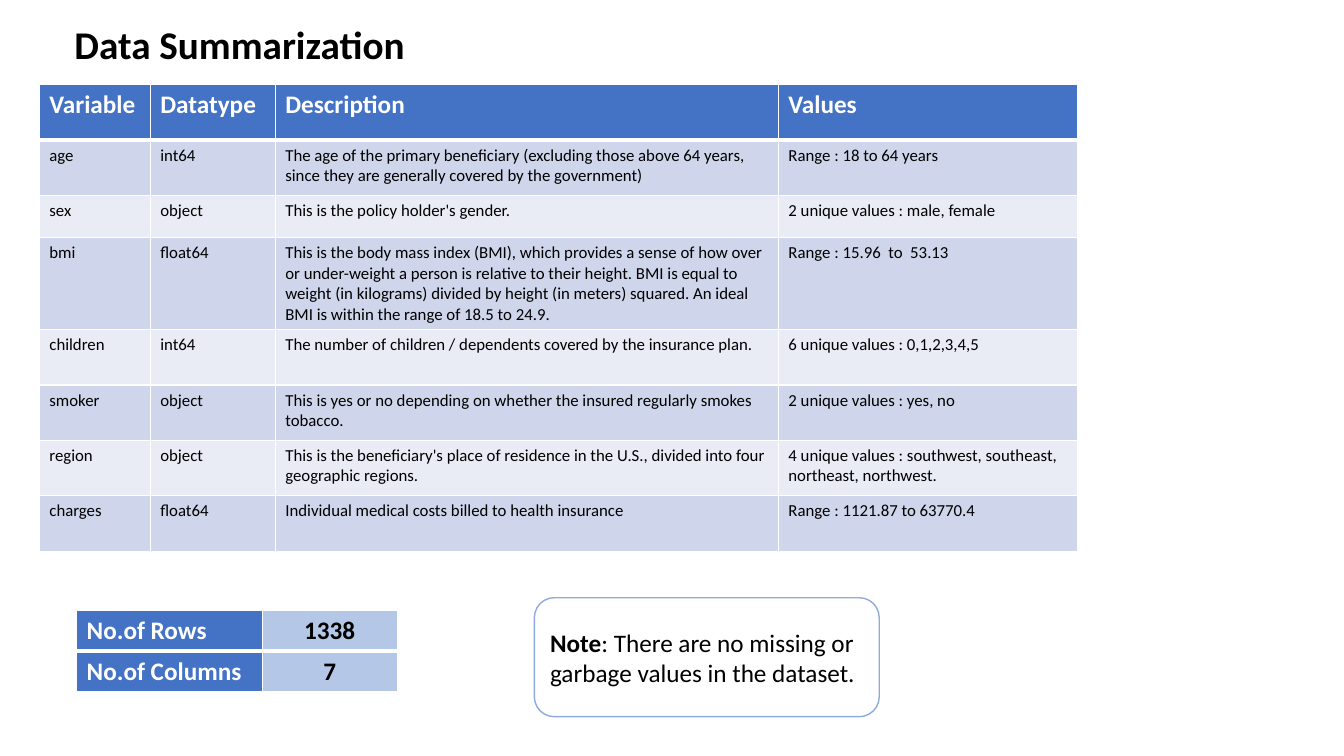
from dataclasses import dataclass

from lxml import etree
from pptx import Presentation
from pptx.dml.color import RGBColor
from pptx.enum import shapes, text
from pptx.oxml.ns import qn
from pptx.util import Inches, Pt

FONT = "Calibri"
COLORS = {
    "white": "FFFFFF",
    "black": "000000",
    "header": "4472C4",
    "band_dark": "CFD5EA",
    "band_light": "E9EBF5",
    "count": "B4C7E7",
    "note_line": "8FAADC",
}


@dataclass
class CellStyle:
    fill: str
    color: str
    size: int = 18
    bold: bool = True
    align: text.PP_ALIGN = text.PP_ALIGN.LEFT


@dataclass
class Grid:
    left: float
    top: float
    widths: list[float]
    heights: list[float]
    rows: list[tuple[str, ...]]
    styles: list[list[CellStyle]]


def rgb(name: str) -> RGBColor:
    return RGBColor.from_string(COLORS[name])


def set_font(p, size: int, color: str, bold: bool | None = None) -> None:
    p.font.name = FONT
    p.font.size = Pt(size)
    p.font.bold = bold
    p.font.color.rgb = rgb(color)


def add_border(cell, side: str, width: float) -> None:
    """Draw a white line on one side (L, R, T or B) of a cell."""
    line = etree.SubElement(cell._tc.get_or_add_tcPr(), qn(f"a:ln{side}"), w=str(Pt(width)))
    fill = etree.SubElement(line, qn("a:solidFill"))
    etree.SubElement(fill, qn("a:srgbClr"), val=COLORS["white"])


def add_grid(slide, grid: Grid) -> None:
    table = slide.shapes.add_table(
        len(grid.rows), len(grid.widths), Inches(grid.left), Inches(grid.top),
        Inches(sum(grid.widths)), Inches(sum(grid.heights))).table
    for column, width in zip(table.columns, grid.widths):
        column.width = Inches(width)
    for i, (row, height) in enumerate(zip(table.rows, grid.heights)):
        row.height = Inches(height)
        for cell, value, style in zip(row.cells, grid.rows[i], grid.styles[i]):
            add_border(cell, "L", 1)
            add_border(cell, "R", 1)
            if i == 0:
                add_border(cell, "T", 1)
            add_border(cell, "B", 3 if i == 0 else 1)
            cell.fill.solid()
            cell.fill.fore_color.rgb = rgb(style.fill)
            cell.text = value
            p = cell.text_frame.paragraphs[0]
            p.alignment = style.align
            set_font(p, style.size, style.color, style.bold)


def add_title(slide, title: str) -> None:
    sp = slide.shapes.add_textbox(Inches(0.64), Inches(0.08), Inches(11.5), Inches(0.76))
    tf = sp.text_frame
    tf.word_wrap = True
    tf.vertical_anchor = text.MSO_ANCHOR.MIDDLE
    p = tf.paragraphs[0]
    p.text = title
    p.line_spacing = 0.9
    set_font(p, 28, "black", True)


def add_note(slide, label: str, message: str) -> None:
    sp = slide.shapes.add_shape(
        shapes.MSO_SHAPE.ROUNDED_RECTANGLE,
        Inches(5.3), Inches(5.93), Inches(3.42), Inches(1.18))
    sp.shadow.inherit = False
    sp.fill.solid()
    sp.fill.fore_color.rgb = rgb("white")
    sp.line.color.rgb = rgb("note_line")
    sp.line.width = Pt(1)
    tf = sp.text_frame
    tf.word_wrap = True
    tf.vertical_anchor = text.MSO_ANCHOR.MIDDLE
    p = tf.paragraphs[0]
    p.alignment = text.PP_ALIGN.LEFT
    set_font(p, 18, "black")
    for part, bold in ((label, True), (message, False)):
        r = p.add_run()
        r.text = part
        r.font.bold = bold


VARIABLES = [
    ("Variable", "Datatype", "Description", "Values"),
    ("age", "int64",
     "The age of the primary beneficiary (excluding those above 64 years, "
     "since they are generally covered by the government)",
     "Range : 18 to 64 years"),
    ("sex", "object", "This is the policy holder's gender.",
     "2 unique values : male, female"),
    ("bmi", "float64",
     "This is the body mass index (BMI), which provides a sense of how over or "
     "under-weight a person is relative to their height. BMI is equal to weight "
     "(in kilograms) divided by height (in meters) squared. An ideal BMI is "
     "within the range of 18.5 to 24.9.",
     "Range : 15.96  to  53.13"),
    ("children", "int64",
     "The number of children / dependents covered by the insurance plan.",
     "6 unique values : 0,1,2,3,4,5"),
    ("smoker", "object",
     "This is yes or no depending on whether the insured regularly smokes tobacco.",
     "2 unique values : yes, no"),
    ("region", "object",
     "This is the beneficiary's place of residence in the U.S., divided into "
     "four geographic regions.",
     "4 unique values : southwest, southeast, northeast, northwest."),
    ("charges", "float64", "Individual medical costs billed to health insurance",
     "Range : 1121.87 to 63770.4"),
]
COUNTS = [("No.of Rows", "1338"), ("No.of Columns", "7")]

HEADER = CellStyle("header", "white")
COUNT = CellStyle("count", "black", align=text.PP_ALIGN.CENTER)
BANDS = [CellStyle(fill, "black", 12, False) for fill in ("band_dark", "band_light")]


def main() -> None:
    prs = Presentation()
    prs.slide_width, prs.slide_height = Inches(13.33), Inches(7.5)
    slide = prs.slides.add_slide(prs.slide_layouts[6])

    add_title(slide, "Data Summarization")
    body_styles = [[BANDS[i % 2]] * 4 for i in range(len(VARIABLES) - 1)]
    add_grid(slide, Grid(
        0.39, 0.84, [1.1, 1.24, 4.99, 2.97],
        [0.55, 0.55, 0.42, 0.91, 0.55, 0.55, 0.55, 0.55],
        VARIABLES, [[HEADER] * 4] + body_styles))
    add_grid(slide, Grid(
        0.76, 6.06, [1.84, 1.34], [0.4] * 2, COUNTS, [[HEADER, COUNT]] * 2))
    add_note(slide, "Note", ": There are no missing or garbage values in the dataset.")

    prs.save("out.pptx")


if __name__ == "__main__":
    main()
